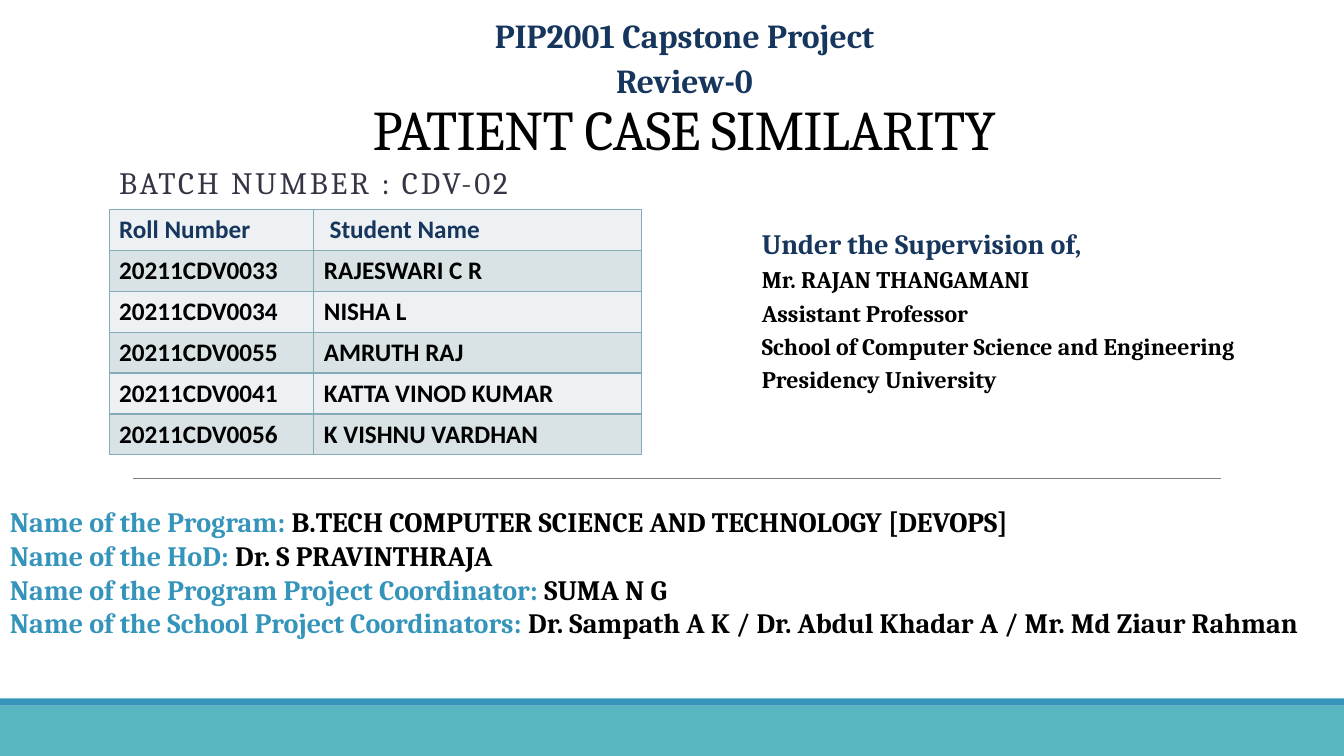
from lxml import etree
from pptx import Presentation
from pptx.dml.color import RGBColor
from pptx.enum.shapes import MSO_CONNECTOR, MSO_SHAPE
from pptx.enum.text import MSO_ANCHOR, MSO_AUTO_SIZE, PP_ALIGN
from pptx.oxml.ns import qn
from pptx.util import Cm, Pt

LEFT, CENTER = PP_ALIGN.LEFT, PP_ALIGN.CENTER
TOP, MIDDLE = MSO_ANCHOR.TOP, MSO_ANCHOR.MIDDLE
NO_FIT = MSO_AUTO_SIZE.NONE
RECT = MSO_SHAPE.RECTANGLE
STRAIGHT = MSO_CONNECTOR.STRAIGHT

NAVY = RGBColor(0x17, 0x36, 0x5D)
BLUE = RGBColor(0x34, 0x94, 0xBA)
TEAL = RGBColor(0x58, 0xB6, 0xC0)
SLATE = RGBColor(0x37, 0x35, 0x45)
GRAY = RGBColor(0x80, 0x80, 0x80)
BLACK = RGBColor(0, 0, 0)
PALE = RGBColor(0xED, 0xF1, 0xF3)
MIST = RGBColor(0xD9, 0xE3, 0xE5)
BORDER = RGBColor(0x84, 0xAC, 0xB6)

WIDTH, HEIGHT = Cm(33.87), Cm(19.05)
SERIF, SANS = "Cambria", "Calibri"

STUDENTS = [
    ("Roll Number", " Student Name"),
    ("20211CDV0033", "RAJESWARI C R"),
    ("20211CDV0034", "NISHA L"),
    ("20211CDV0055", "AMRUTH RAJ"),
    ("20211CDV0041", "KATTA VINOD KUMAR"),
    ("20211CDV0056", "K VISHNU VARDHAN"),
]
MENTOR = [
    "Mr. RAJAN THANGAMANI",
    "Assistant Professor",
    "School of Computer Science and Engineering",
    "Presidency University",
]
STAFF = [
    ("Name of the Program: ",
     "B.TECH COMPUTER SCIENCE AND TECHNOLOGY [DEVOPS]"),
    ("Name of the HoD: ", "Dr. S PRAVINTHRAJA"),
    ("Name of the Program Project Coordinator: ", "SUMA N G"),
    ("Name of the School Project Coordinators: ",
     "Dr. Sampath A K / Dr. Abdul Khadar A / Mr. Md Ziaur Rahman"),
]


def style(para, size, color=None, bold=True, face=SERIF, align=LEFT, before=0):
    para.alignment = align
    para.space_before = Pt(before)
    font = para.font
    font.name, font.size, font.bold = face, Pt(size), bold
    if color is not None:
        font.color.rgb = color


def place(shape, left, top, width, height):
    shape.left, shape.top = Cm(left), Cm(top)
    shape.width, shape.height = Cm(width), Cm(height)


def add_head(holder, box, text, size, color, align, anchor, lines, gap):
    """Fill a title or subtitle placeholder; gap is letter spacing in points."""
    place(holder, *box)
    frame = holder.text_frame
    frame.word_wrap, frame.auto_size = True, NO_FIT
    frame.vertical_anchor = anchor
    para = frame.paragraphs[0]
    run = para.add_run()
    run.text = text
    run.font._element.set("spc", str(round(gap * 100)))
    style(para, size, color, False, align=align)
    para.line_spacing = lines


def add_box(slide, left, top, width, height, count):
    """Add a wrapping text box and return its empty paragraphs."""
    box = slide.shapes.add_textbox(Cm(left), Cm(top), Cm(width), Cm(height))
    frame = box.text_frame
    frame.word_wrap = True
    for _ in range(count - 1):
        frame.add_paragraph()
    return frame.paragraphs


def add_band(slide, top, height, color):
    band = slide.shapes.add_shape(RECT, 0, Cm(top), WIDTH, Cm(height))
    band.shadow.inherit = False
    band.fill.solid()
    band.fill.fore_color.rgb = color
    band.line.fill.background()


def add_rule(slide, left, right, top):
    rule = slide.shapes.add_connector(
        STRAIGHT, Cm(left), Cm(top), Cm(right), Cm(top))
    rule.line.color.rgb = GRAY
    rule.line.width = Pt(0.5)
    etree.SubElement(rule._element.spPr, qn("a:effectLst"))


def add_edges(cell):
    props = cell._tc.get_or_add_tcPr()
    for side in ("lnL", "lnR", "lnT", "lnB"):
        edge = etree.SubElement(props, qn("a:" + side), w=str(Pt(1)))
        fill = etree.SubElement(edge, qn("a:solidFill"))
        etree.SubElement(fill, qn("a:srgbClr"), val=str(BORDER))


def add_roster(slide):
    widths = (5.16, 8.25)
    table = slide.shapes.add_table(
        len(STUDENTS), len(widths), Cm(2.75), Cm(5.28),
        Cm(sum(widths)), Cm(6.12)).table
    for column, width in zip(table.columns, widths):
        column.width = Cm(width)
    for i, names in enumerate(STUDENTS):
        for j, name in enumerate(names):
            cell = table.cell(i, j)
            cell.text = name
            cell.vertical_anchor = MIDDLE
            style(cell.text_frame.paragraphs[0], 18,
                  BLACK if i else NAVY, face=SANS)
            add_edges(cell)
            cell.fill.solid()
            cell.fill.fore_color.rgb = MIST if i % 2 else PALE


def add_course(slide):
    lines = ["PIP2001 Capstone Project", "Review-0"]
    paras = add_box(slide, 6.4, 0.25, 21.7, 1.52, len(lines))
    for i, (para, text) in enumerate(zip(paras, lines)):
        para.text = text
        style(para, 24, NAVY, align=CENTER, before=3.1 * i)


def add_mentor(slide):
    paras = add_box(slide, 18.95, 5.59, 14.9, 5.61, len(MENTOR) + 1)
    paras[0].text = "Under the Supervision of,"
    style(paras[0], 20, NAVY)
    for para, text in zip(paras[1:], MENTOR):
        para.text = text
        style(para, 17, BLACK, before=3.4)


def add_staff(slide):
    paras = add_box(slide, 0, 12.6, 33.87, 4.34, len(STAFF))
    for para, pair in zip(paras, STAFF):
        style(para, 20)
        for text, color in zip(pair, (BLUE, BLACK)):
            run = para.add_run()
            run.text = text
            run.font.color.rgb = color


def main():
    deck = Presentation()
    deck.slide_width, deck.slide_height = WIDTH, HEIGHT
    slide = deck.slides.add_slide(deck.slide_layouts[0])
    add_band(slide, 17.78, 1.27, TEAL)
    add_band(slide, 17.6, 0.18, BLUE)
    add_rule(slide, 3.35, 30.78, 12.06)
    title, batch = slide.placeholders
    add_head(title, (4.04, 2.08, 26.4, 2.57), "PATIENT CASE SIMILARITY",
             40, BLACK, CENTER, MIDDLE, 0.85, -0.5)
    add_head(batch, (2.75, 4.1, 11.02, 1.52), "BATCH NUMBER : CDV-02",
             22.2, SLATE, LEFT, TOP, 0.9, 2)
    add_roster(slide)
    add_mentor(slide)
    add_course(slide)
    add_staff(slide)
    deck.save("out.pptx")


if __name__ == "__main__":
    main()
